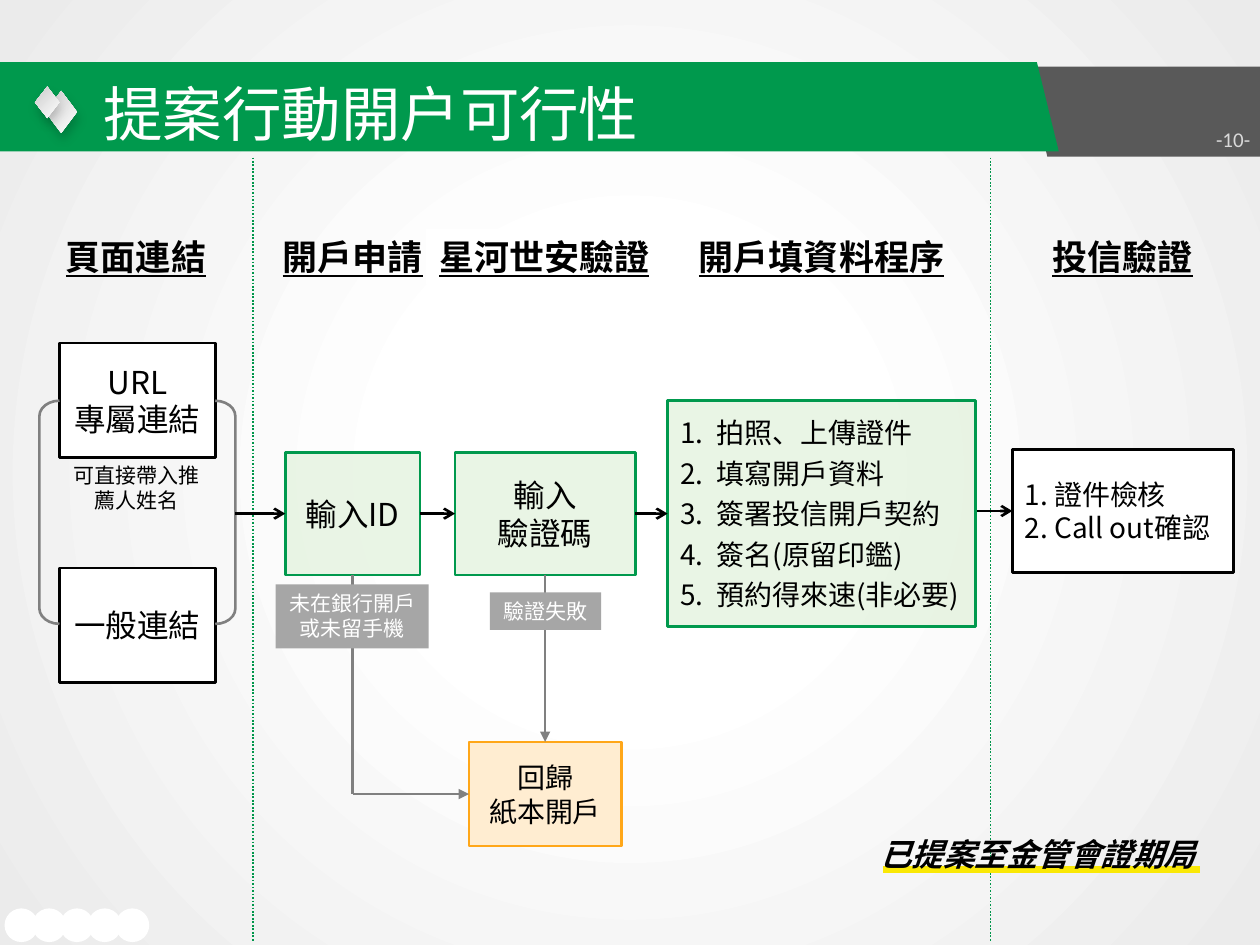
import pptx
from lxml import etree
from pptx.dml.color import RGBColor
from pptx.enum.dml import MSO_LINE
from pptx.enum.shapes import MSO_CONNECTOR, MSO_SHAPE
from pptx.enum.text import MSO_ANCHOR, PP_ALIGN
from pptx.oxml.ns import qn
from pptx.util import Pt

BLACK = RGBColor(0x00, 0x00, 0x00)
WHITE = RGBColor(0xFF, 0xFF, 0xFF)
EDGE_GRAY = RGBColor(0xEB, 0xEB, 0xEB)
DIAMOND_GRAY = RGBColor(0xCC, 0xCC, 0xCC)
NUMBER_GRAY = RGBColor(0xD9, 0xD9, 0xD9)
LABEL_GRAY = RGBColor(0xA6, 0xA6, 0xA6)
LINE_GRAY = RGBColor(0x80, 0x80, 0x80)
DARK_GRAY = RGBColor(0x59, 0x59, 0x59)
GREEN = RGBColor(0x00, 0x99, 0x4D)
DIVIDER_GREEN = RGBColor(0x00, 0x96, 0x4B)
PALE_GREEN = RGBColor(0xE0, 0xF1, 0xDA)
ORANGE = RGBColor(0xFF, 0xA7, 0x19)
PALE_ORANGE = RGBColor(0xFF, 0xED, 0xD1)
YELLOW = RGBColor(0xFA, 0xE8, 0x05)
FONT = "Noto Sans CJK SC"

TITLE = "提案行動開戶可行性"
BANNERS = [
    (DARK_GRAY, [(587, 38), (723, 38), (723, 89.5), (598.5, 89.5)]),
    (GREEN, [(0, 35.5), (592.5, 35.5), (605, 86.5), (0, 86.5)]),
]
DIAMONDS = [(26, 52, 18, 24), (20, 49.5, 14, 18)]
DIVIDERS = [566, 144.5]

# text, left, width, fill
HEADINGS = [
    ("頁面連結", 28, 99.5, None),
    ("開戶申請", 154, 95, None),
    ("星河世安驗證", 243.5, 135, WHITE),
    ("開戶填資料程序", 391.5, 156, None),
    ("投信驗證", 594, 95, None),
]
# key: lines, box, size, fill, opacity, outline
STEPS = {
    "url": (["URL", "專屬連結"], (34, 196, 89, 65.5), 18, WHITE, 100, BLACK),
    "general": (["一般連結"], (34, 324.5, 89, 65.5), 18, WHITE, 100, BLACK),
    "id": (["輸入ID"], (163, 258.5, 77, 70), 18, PALE_GREEN, 68, GREEN),
    "code": (["輸入", "驗證碼"], (260, 258.5, 103, 70), 18, PALE_GREEN, 70, GREEN),
    "form": (["拍照、上傳證件", "填寫開戶資料", "簽署投信開戶契約", "簽名(原留印鑑)",
              "預約得來速(非必要)"],
             (381.5, 229, 176, 129), 16, PALE_GREEN, 70, GREEN),
    "check": (["1. 證件檢核", "2. Call out確認"],
              (578.5, 257, 126.5, 70), 16, WHITE, 100, BLACK),
    "paper": (["回歸", "紙本開戶"], (268, 424, 87, 59.5), 16, PALE_ORANGE, 100, ORANGE),
}
LEFT_ALIGNED = {"form", "check"}
LABELS = [
    (["驗證失敗"], (280, 338.5, 63.5, 21.5)),
    (["未在銀行開戶", "或未留手機"], (157.5, 334, 87.5, 36.5)),
]
BRACKETS = [(22.5, 0), (123, 180)]  # left, rotation
TOP, LEFT, BOTTOM, RIGHT = range(4)
# start, end (a point or a step and its side), colour, arrowhead
CORNER = (201.5, 453.75)
FLOWS = [
    (("id", BOTTOM), CORNER, LINE_GRAY, None),
    (CORNER, ("paper", LEFT), LINE_GRAY, "triangle"),
    (("code", BOTTOM), ("paper", TOP), LINE_GRAY, "triangle"),
    ((134.5, 293.5), ("id", LEFT), BLACK, "arrow"),
    (("id", RIGHT), ("code", LEFT), BLACK, "arrow"),
    (("code", RIGHT), ("form", LEFT), BLACK, "arrow"),
    ((558.5, 292), ("check", LEFT), BLACK, "arrow"),
]

prs = pptx.Presentation()
prs.slide_width, prs.slide_height = Pt(720), Pt(540)
slide = prs.slides.add_slide(prs.slide_layouts[5])
shapes = slide.shapes


def set_gradient(fill, *stops):
    fill.gradient()
    for stop, (position, color) in zip(fill.gradient_stops, stops):
        stop.position, stop.color.rgb = position, color


def write(shape, lines, size, color=BLACK, align=PP_ALIGN.CENTER, font=FONT,
          anchor=MSO_ANCHOR.TOP, wrap=True):
    frame = shape.text_frame
    frame.word_wrap, frame.vertical_anchor = wrap, anchor
    frame.text = "\n".join(lines)
    for paragraph in frame.paragraphs:
        paragraph.alignment = align
        paragraph.font.name, paragraph.font.size = font, Pt(size)
        paragraph.font.color.rgb = color
    return frame.paragraphs


def add_text(lines, box, size, **style):
    return write(shapes.add_textbox(*map(Pt, box)), lines, size, **style)


def add_block(kind, box, fill=None, outline=None, width=1.5):
    block = shapes.add_shape(kind, *map(Pt, box))
    block.shadow.inherit = False
    if fill is None:
        block.fill.background()
    else:
        block.fill.solid()
        block.fill.fore_color.rgb = fill
    if outline is None:
        block.line.fill.background()
    else:
        block.line.color.rgb, block.line.width = outline, Pt(width)
    return block


def add_line(start, end, color, width=1.5, head=None):
    line = shapes.add_connector(MSO_CONNECTOR.STRAIGHT, *map(Pt, start + end))
    line.line.color.rgb, line.line.width = color, Pt(width)
    if head:
        etree.SubElement(line.line._get_or_add_ln(), qn("a:tailEnd"), type=head)
    etree.SubElement(line.element.spPr, qn("a:effectLst"))
    return line


def add_flow(start, end, color, head):
    """Draw a line between points or step sides, joined where it meets a step."""
    joined = [isinstance(place[0], str) for place in (start, end)]
    line = add_line((0, 0) if joined[0] else start, (0, 0) if joined[1] else end,
                    color, head=head)
    if joined[0]:
        line.begin_connect(blocks[start[0]], start[1])
    if joined[1]:
        line.end_connect(blocks[end[0]], end[1])


# Background and banner
set_gradient(slide.background.fill, (0.28, WHITE), (1, EDGE_GRAY))
gradient = slide.element.find(".//" + qn("a:gradFill"))
gradient.remove(gradient.find(qn("a:lin")))
radial = etree.SubElement(gradient, qn("a:path"), path="circle")
etree.SubElement(radial, qn("a:fillToRect"), dict.fromkeys("ltrb", "50000"))

for color, corners in BANNERS:
    points = [(Pt(x), Pt(y)) for x, y in corners]
    builder = shapes.build_freeform(*points[0])
    builder.add_line_segments(points[1:], close=True)
    banner = builder.convert_to_shape()
    banner.shadow.inherit = False
    banner.fill.solid()
    banner.fill.fore_color.rgb = color
    banner.line.fill.background()

for box in DIAMONDS:
    diamond = add_block(MSO_SHAPE.DIAMOND, box)
    set_gradient(diamond.fill, (0, WHITE), (1, DIAMOND_GRAY))
    diamond.fill.gradient_angle = 135
    effects = diamond.element.spPr.find(qn("a:effectLst"))
    shadow = etree.SubElement(effects, qn("a:outerShdw"), blurRad=str(Pt(6)),
                              dist=str(Pt(4)), dir=str(77 * 60000))
    shade = etree.SubElement(shadow, qn("a:srgbClr"), val=str(BLACK))
    etree.SubElement(shade, qn("a:alpha"), val="18000")

for i in range(5):
    add_block(MSO_SHAPE.OVAL, (3.5 + 15.85 * i, 520, 17.5, 17.5), WHITE, WHITE, 1.75)

title = shapes.title
title.left, title.top, title.width, title.height = map(Pt, (52, 42.5, 540, 44))
write(title, [TITLE], 34, WHITE, PP_ALIGN.LEFT, "Noto Sans CJK TC", MSO_ANCHOR.MIDDLE)
shapes.element.append(title.element)  # bring in front of the banner
add_text(["-10-"], (687.5, 70, 34, 20), 12, color=NUMBER_GRAY, align=PP_ALIGN.RIGHT,
         font="Calibri", anchor=MSO_ANCHOR.BOTTOM)

# Columns
for x in DIVIDERS:
    add_line((x, 90), (x, 538), DIVIDER_GREEN, 1).line.dash_style = MSO_LINE.ROUND_DOT
for text, left, width, fill in HEADINGS:
    heading = add_block(MSO_SHAPE.RECTANGLE, (left, 131, width, 31.5), fill)
    font = write(heading, [text], 20, wrap=False)[0].font
    font.bold = font.underline = True

# Flow
blocks = {}
for key, (lines, box, size, fill, opacity, outline) in STEPS.items():
    block = blocks[key] = add_block(MSO_SHAPE.FLOWCHART_PROCESS, box, fill, outline)
    if opacity < 100:
        tint = block.element.spPr.find(qn("a:solidFill"))[0]
        etree.SubElement(tint, qn("a:alpha"), val=str(opacity * 1000))
    align = PP_ALIGN.LEFT if key in LEFT_ALIGNED else PP_ALIGN.CENTER
    write(block, lines, size, align=align, anchor=MSO_ANCHOR.MIDDLE)

for paragraph in blocks["form"].text_frame.paragraphs:
    paragraph.space_before = Pt(4)
for properties in blocks["form"].element.iter(qn("a:pPr")):
    properties.set("marL", str(Pt(21)))
    properties.set("indent", str(-Pt(21)))
    number = etree.Element(qn("a:buAutoNum"), type="arabicPeriod")
    properties.find(qn("a:defRPr")).addprevious(number)

add_text(["可直接帶入推薦人姓名"], (34, 260.5, 88, 36), 12, font="Arial")
for left, rotation in BRACKETS:
    bracket = add_block(MSO_SHAPE.LEFT_BRACKET, (left, 229, 11.5, 127.5), None, LINE_GRAY)
    bracket.adjustments[0] = 0.77
    bracket.rotation = rotation
for flow in FLOWS:
    add_flow(*flow)
for lines, box in LABELS:
    write(add_block(MSO_SHAPE.RECTANGLE, box, LABEL_GRAY), lines, 12, WHITE, wrap=False)

# Closing remark
add_line((504.5, 497), (686, 497), YELLOW, 4)
font = add_text(["已提案至金管會證期局"], (496, 473.5, 196.5, 29), 18,
                align=PP_ALIGN.LEFT, wrap=False)[0].font
font.bold = font.italic = True

# East Asian text takes the same typeface as Latin text
for latin in list(slide.element.iter(qn("a:latin"))):
    latin.addnext(etree.Element(qn("a:ea"), typeface=latin.get("typeface")))

prs.save("out.pptx")
